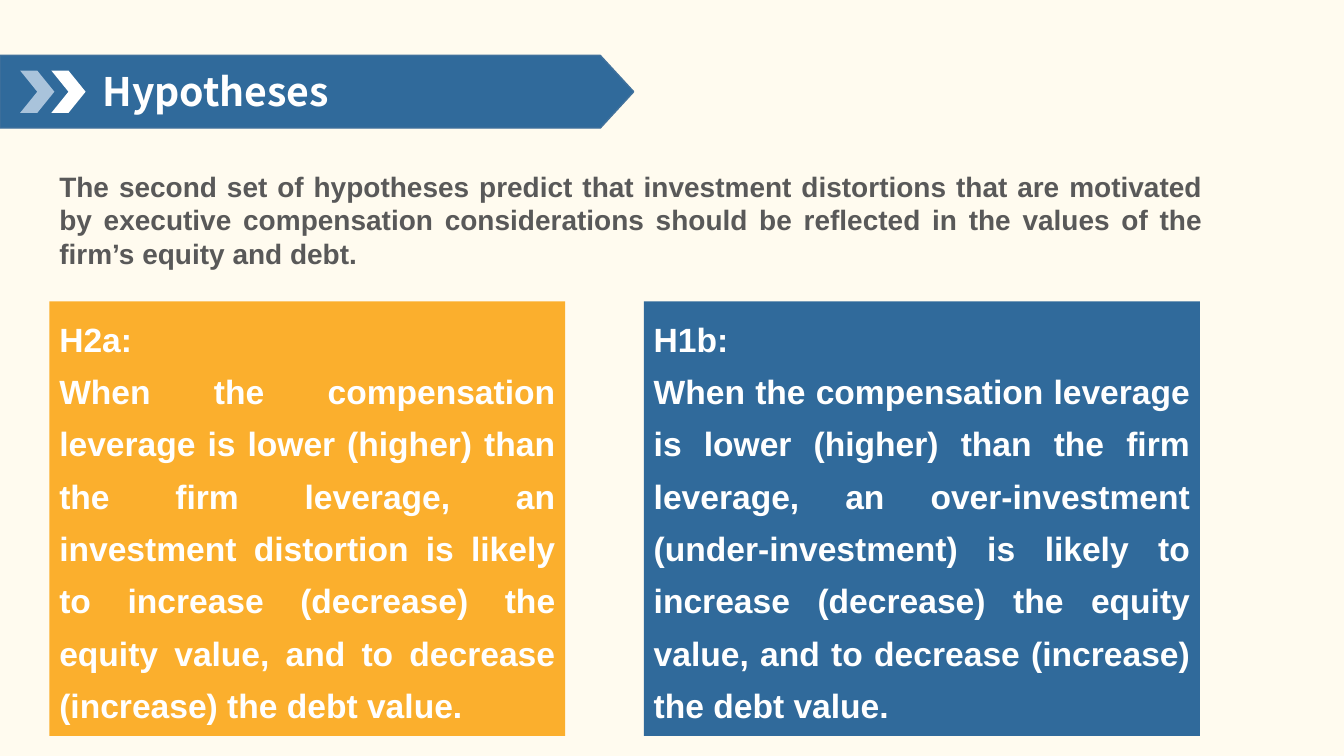
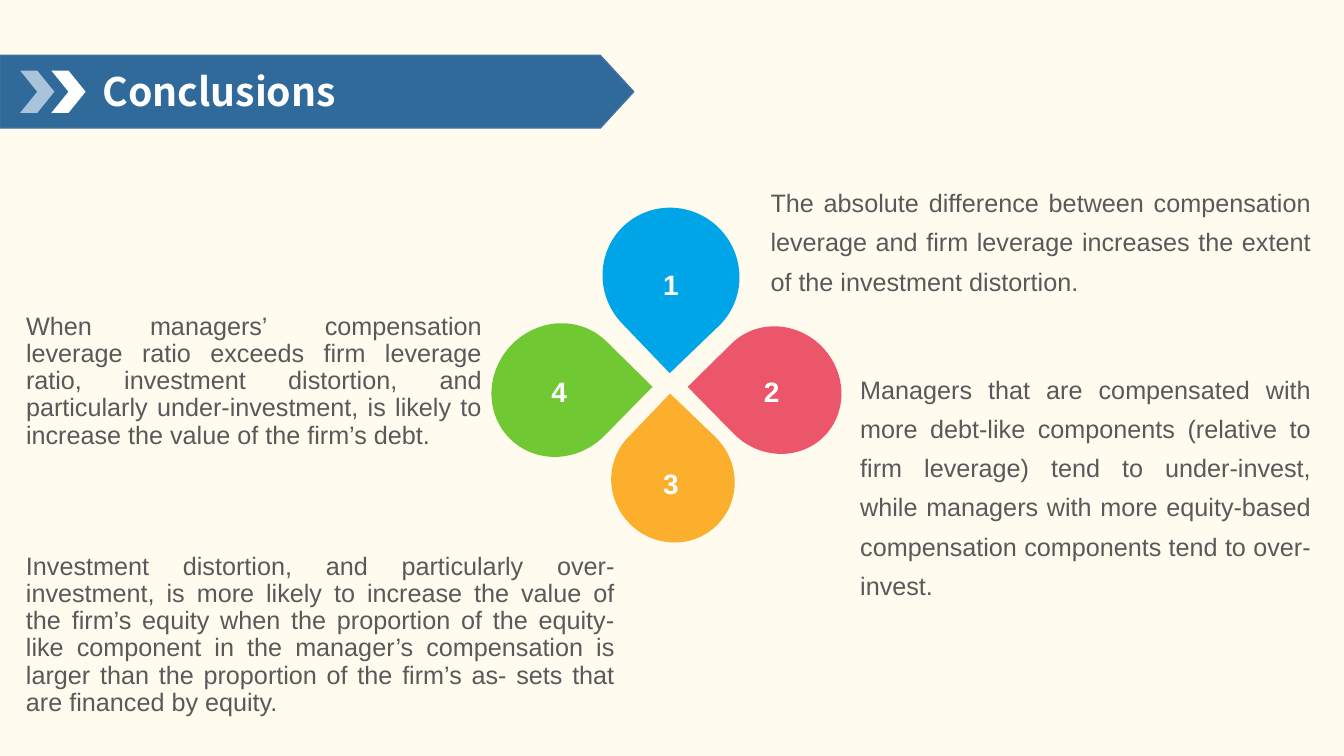
from dataclasses import dataclass

import pptx
import pptx.dml.color
import pptx.enum.shapes
import pptx.enum.text
import pptx.util

Inches = pptx.util.Inches
Shape = pptx.enum.shapes.MSO_SHAPE
Align = pptx.enum.text.PP_ALIGN
Anchor = pptx.enum.text.MSO_ANCHOR


@dataclass(frozen=True)
class Theme:
    """Colours, fonts and type sizes shared by the slides."""

    cream: str = "FFFBEF"
    navy: str = "306A9B"
    navy_edge: str = "41719C"
    pale_blue: str = "A9C3DB"
    white: str = "FFFFFF"
    grey: str = "595959"
    amber: str = "FBAF2D"
    sky: str = "00A5E7"
    rose: str = "EC566B"
    green: str = "70C833"
    title_font: str = "Noto Sans CJK SC"
    body_font: str = "Arial"
    title_size: int = 28
    hypothesis_size: int = 24
    lead_size: int = 20
    body_size: int = 18


THEME = Theme()


def rgb(code):
    """Turn a hex code into a colour."""
    return pptx.dml.color.RGBColor.from_string(code)


def add_block(slide, kind, box, fill, edge=None, turn=0):
    """Add a flat preset shape in the given box."""
    block = slide.shapes.add_shape(kind, *map(Inches, box))
    block.shadow.inherit = False
    block.fill.solid()
    block.fill.fore_color.rgb = rgb(fill)
    if edge:
        block.line.color.rgb = rgb(edge)
        block.line.width = pptx.util.Pt(1)
    else:
        block.line.fill.background()
    block.rotation = turn
    return block


def write(holder, lines, size, color, bold=False, font=THEME.body_font,
          align=Align.JUSTIFY, spacing=1.0, anchor=Anchor.TOP):
    """Write one paragraph per line into a shape or text box."""
    frame = holder.text_frame
    frame.word_wrap = True
    frame.vertical_anchor = anchor
    frame.text = "\n".join(lines)
    for paragraph in frame.paragraphs:
        paragraph.alignment = align
        paragraph.line_spacing = spacing
        paragraph.font.name = font
        paragraph.font.size = pptx.util.Pt(size)
        paragraph.font.bold = bold
        paragraph.font.color.rgb = rgb(color)


def add_text(slide, box, line, size, color, **style):
    """Add a text box holding one paragraph."""
    write(slide.shapes.add_textbox(*map(Inches, box)), [line], size, color, **style)


def add_title_band(slide, title, box=(0, 0.55, 6.29, 0.72)):
    """Draw the arrow band with its two chevrons and the title."""
    left, top, width, height = box
    band = add_block(slide, Shape.PENTAGON, box, THEME.navy, THEME.navy_edge)
    band.adjustments[0] = 0.46
    for index, color in enumerate((THEME.pale_blue, THEME.white)):
        chevron_box = (left + 0.2 + index * 0.31, top + 0.15, 0.34, height - 0.3)
        add_block(slide, Shape.CHEVRON, chevron_box, color)
    add_text(slide, (left + 0.92, top + 0.03, width - 1.16, height - 0.01), title,
             THEME.title_size, THEME.white, bold=True, font=THEME.title_font,
             align=Align.LEFT, spacing=0.9, anchor=Anchor.MIDDLE)


def add_hypothesis(slide, box, label, statement, fill):
    """Draw one coloured panel with a hypothesis label and statement."""
    panel = add_block(slide, Shape.RECTANGLE, box, fill)
    write(panel, [label, statement], THEME.hypothesis_size, THEME.white,
          bold=True, spacing=1.3)


def add_petal(slide, center, size, turn, number, number_center, fill):
    """Draw one numbered drop around its centre."""
    def around(point, extent):
        return (point[0] - extent[0] / 2, point[1] - extent[1] / 2, *extent)

    add_block(slide, Shape.TEAR, around(center, size), fill, turn=turn)
    add_text(slide, around(number_center, (0.94, 0.76)), number, THEME.lead_size,
             THEME.white, bold=True, align=Align.CENTER, spacing=1.2,
             anchor=Anchor.MIDDLE)


def add_flower(slide, center=(6.66, 3.85)):
    """Draw the four numbered petals around the flower centre."""
    petals = [
        ((0, -1.11), (1.35, 1.37), 136.2, (0, -1.06), THEME.sky),
        ((1.06, 0.02), (1.3, 1.23), 225.5, (1, 0), THEME.rose),
        ((0.02, 0.92), (1.21, 1.24), 313.8, (0, 0.91), THEME.amber),
        ((-1.12, 0.02), (1.29, 1.36), 44.5, (-1.11, 0), THEME.green),
    ]
    for number, (offset, size, turn, number_offset, fill) in enumerate(petals, 1):
        place, number_place = (
            (center[0] + dx, center[1] + dy) for dx, dy in (offset, number_offset))
        add_petal(slide, place, size, turn, str(number), number_place, fill)


def build_hypotheses(slide):
    """Build the slide with the second set of hypotheses."""
    add_title_band(slide, "Hypotheses")
    add_text(slide, (0.49, 1.63, 11.55, 1.1),
             "The second set of hypotheses predict that investment distortions that "
             "are motivated by executive compensation considerations should be "
             "reflected in the values of the firm’s equity and debt.",
             THEME.lead_size, THEME.grey, bold=True)
    statement = ("When the compensation leverage is lower (higher) than the firm "
                 "leverage, an {} is likely to increase (decrease) the equity value, "
                 "and to decrease (increase) the debt value.")
    hypotheses = [
        (0.49, 5.12, "H2a:", "investment distortion", THEME.amber),
        (6.39, 5.52, "H1b:", "over-investment (under-investment)", THEME.navy),
    ]
    for left, width, label, cause, fill in hypotheses:
        add_hypothesis(slide, (left, 2.99, width, 4.31), label,
                       statement.format(cause), fill)


def build_conclusions(slide):
    """Build the slide with four conclusions around the flower."""
    add_title_band(slide, "Conclusions")
    add_flower(slide)
    conclusions = [
        ((7.55, 1.72, 5.56, 1.27), 1.3,
         "The absolute difference between compensation leverage and firm leverage "
         "increases the extent of the investment distortion."),
        ((8.44, 3.57, 4.67, 2.44), 1.3,
         "Managers that are compensated with more debt-like components (relative to "
         "firm leverage) tend to under-invest, while managers with more equity-based "
         "compensation components tend to over-invest."),
        ((0.16, 5.44, 6.04, 1.72), 0.9,
         "Investment distortion, and particularly over- investment, is more likely to "
         "increase the value of the firm’s equity when the proportion of the "
         "equity-like component in the manager’s compensation is larger than the "
         "proportion of the firm’s as- sets that are financed by equity."),
        ((0.16, 3.06, 4.72, 1.45), 0.9,
         "When managers’ compensation leverage ratio exceeds firm leverage ratio, "
         "investment distortion, and particularly under-investment, is likely to "
         "increase the value of the firm’s debt."),
    ]
    for box, spacing, conclusion in conclusions:
        add_text(slide, box, conclusion, THEME.body_size, THEME.grey, spacing=spacing)


def main():
    """Build and save the presentation."""
    deck = pptx.Presentation()
    deck.slide_width, deck.slide_height = Inches(13.34), Inches(7.5)
    backdrop = deck.slide_master.background.fill
    backdrop.solid()
    backdrop.fore_color.rgb = rgb(THEME.cream)
    for build in (build_hypotheses, build_conclusions):
        build(deck.slides.add_slide(deck.slide_layouts[6]))
    deck.save("out.pptx")


if __name__ == "__main__":
    main()
